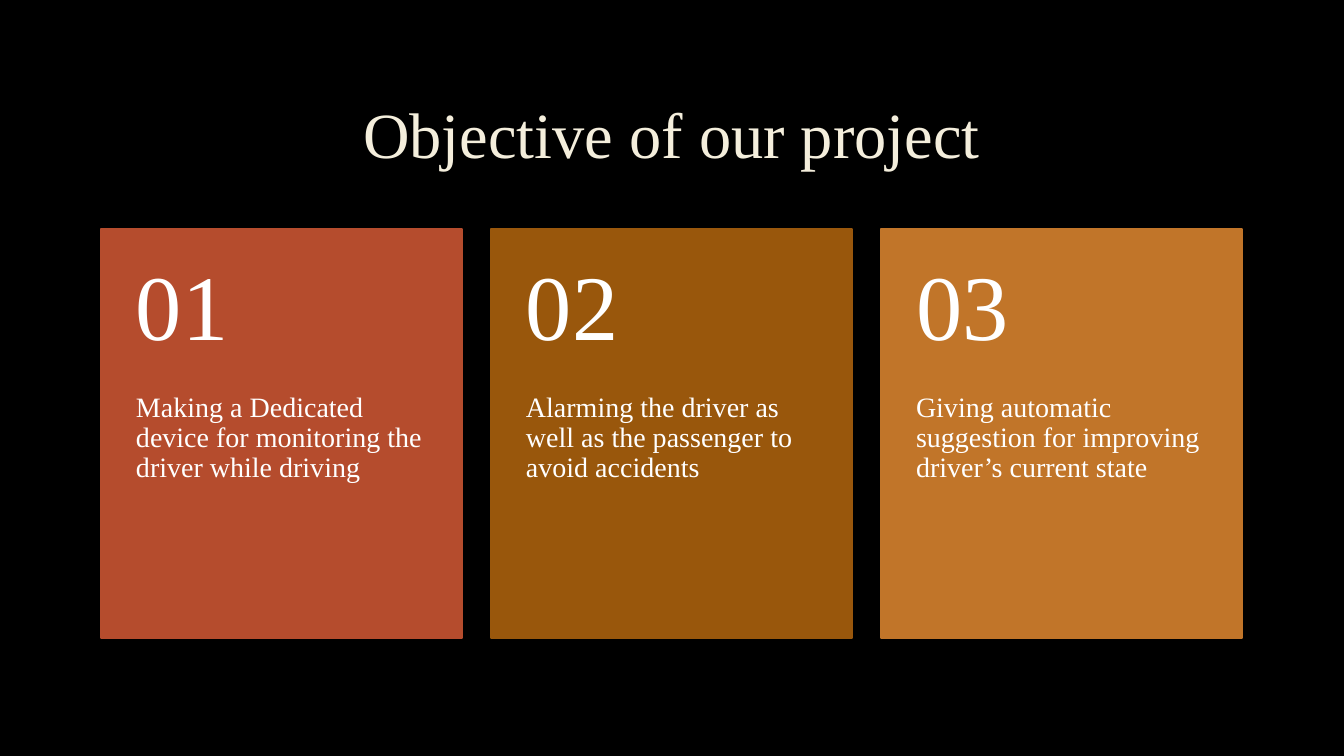
from dataclasses import dataclass

from pptx import Presentation
from pptx import util as u
from pptx.dml.color import RGBColor
from pptx.enum import shapes, text
from pptx.shapes.shapetree import GroupShapes
from pptx.text.text import TextFrame

EMU_PER_PX = 914400 / 100.8
FONT = "Times New Roman"
BLACK = RGBColor(0x00, 0x00, 0x00)
CREAM = RGBColor(0xF4, 0xEE, 0xDC)
WHITE = RGBColor(0xFF, 0xFF, 0xFF)
RUST = RGBColor(0xB5, 0x4C, 0x2D)
BROWN = RGBColor(0x99, 0x57, 0x0C)
OCHRE = RGBColor(0xC1, 0x75, 0x29)

CARD_LEFT, CARD_TOP, CARD_WIDTH = 101, 229, 361
CARD_PITCH = 390
NUMBER_HEIGHT, GOAL_HEIGHT = 164, 245


@dataclass(frozen=True)
class Objective:
    goal: str
    color: RGBColor


@dataclass(frozen=True)
class CardText:
    size: int
    space_after: int
    anchor: text.MSO_ANCHOR
    inset_top: int
    inset_bottom: int


NUMBER = CardText(66, 23, text.MSO_ANCHOR.MIDDLE, 18, 18)
GOAL = CardText(20, 7, text.MSO_ANCHOR.TOP, 0, 36)

OBJECTIVES = [
    Objective("Making a Dedicated device for monitoring the driver while driving", RUST),
    Objective("Alarming the driver as well as the passenger to avoid accidents", BROWN),
    Objective("Giving automatic suggestion for improving driver’s current state", OCHRE),
]


def px(length: int) -> u.Emu:
    return u.Emu(round(length * EMU_PER_PX))


def write(frame: TextFrame, words: str, size: int, color: RGBColor,
          align: text.PP_ALIGN) -> None:
    frame.word_wrap = True
    frame.auto_size = text.MSO_AUTO_SIZE.NONE
    frame.text = words
    paragraph = frame.paragraphs[0]
    paragraph.alignment = align
    paragraph.line_spacing = 0.9
    paragraph.font.name = FONT
    paragraph.font.size = u.Pt(size)
    paragraph.font.color.rgb = color


def add_card_text(cards: GroupShapes, words: str, style: CardText,
                  left: int, top: int, height: int) -> None:
    box = cards.add_textbox(px(left), px(top), px(CARD_WIDTH), px(height))
    frame = box.text_frame
    write(frame, words, style.size, WHITE, text.PP_ALIGN.LEFT)
    frame.paragraphs[0].space_after = u.Pt(style.space_after)
    frame.vertical_anchor = style.anchor
    frame.margin_left = frame.margin_right = px(35)
    frame.margin_top = px(style.inset_top)
    frame.margin_bottom = px(style.inset_bottom)


def add_card(cards: GroupShapes, index: int, objective: Objective) -> None:
    left = CARD_LEFT + index * CARD_PITCH
    panel = cards.add_shape(shapes.MSO_SHAPE.RECTANGLE, px(left), px(CARD_TOP),
                            px(CARD_WIDTH), px(NUMBER_HEIGHT + GOAL_HEIGHT))
    panel.shadow.inherit = False
    panel.fill.solid()
    panel.fill.fore_color.rgb = objective.color
    panel.line.color.rgb = objective.color
    panel.line.width = u.Pt(1.25)
    add_card_text(cards, objective.goal, GOAL, left,
                  CARD_TOP + NUMBER_HEIGHT, GOAL_HEIGHT)
    add_card_text(cards, f"{index + 1:02}", NUMBER, left, CARD_TOP, NUMBER_HEIGHT)


def main() -> None:
    deck = Presentation()
    deck.slide_width, deck.slide_height = px(1344), px(756)
    slide = deck.slides.add_slide(deck.slide_layouts[5])
    slide.background.fill.solid()
    slide.background.fill.fore_color.rgb = BLACK

    heading = slide.shapes.title
    heading.left, heading.top = px(101), px(68)
    heading.width, heading.height = px(1141), px(139)
    write(heading.text_frame, "Objective of our project", 46, CREAM,
          text.PP_ALIGN.CENTER)
    heading.text_frame.vertical_anchor = text.MSO_ANCHOR.MIDDLE

    cards = slide.shapes.add_group_shape().shapes
    for index, objective in enumerate(OBJECTIVES):
        add_card(cards, index, objective)

    deck.save("out.pptx")


if __name__ == "__main__":
    main()
